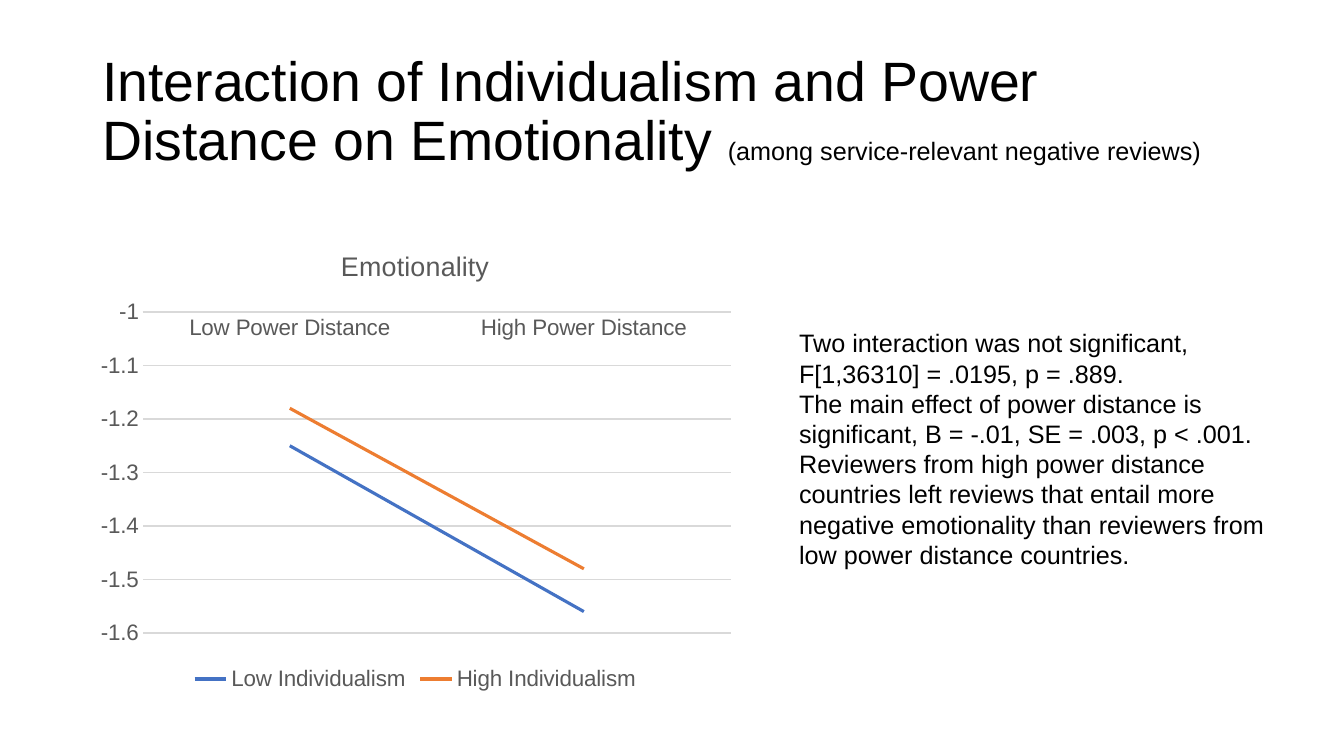
from dataclasses import dataclass

import pptx
import pptx.chart.data
import pptx.dml.color
import pptx.enum.chart
import pptx.enum.text
import pptx.oxml
import pptx.oxml.ns
import pptx.util
from pptx.util import Cm


@dataclass(frozen=True)
class Theme:
    font: str = "Arial"
    black: str = "000000"
    gray: str = "595959"
    grid: str = "D9D9D9"
    series: tuple = ("4472C4", "ED7D31")
    title_size: float = 39.6
    body_size: float = 18
    chart_size: float = 16
    chart_title_size: float = 19.2


THEME = Theme()
CATEGORIES = ("Low Power Distance", "High Power Distance")
EMOTIONALITY = {
    "Low Individualism": (-1.25, -1.56),
    "High Individualism": (-1.18, -1.48),
}
FINDINGS = (
    "Two interaction was not significant, F[1,36310] = .0195, p = .889.",
    "The main effect of power distance is significant, B = -.01, SE = .003, p < .001.",
    "Reviewers from high power distance countries left reviews that entail more "
    "negative emotionality than reviewers from low power distance countries.",
)


def style_font(font, size, color):
    font.name = THEME.font
    font.size = pptx.util.Pt(size)
    font.bold = False
    font.color.rgb = pptx.dml.color.RGBColor.from_string(color)


def style_line(line, color, width):
    line.color.rgb = pptx.dml.color.RGBColor.from_string(color)
    line.width = pptx.util.Pt(width)


def add_text_frame(page, left, top, width, height):
    frame = page.shapes.add_textbox(left, top, width, height).text_frame
    frame.word_wrap = True
    return frame


def add_title(page, heading, qualifier):
    frame = add_text_frame(page, Cm(2.33), Cm(1.01), Cm(29.21), Cm(3.68))
    frame.vertical_anchor = pptx.enum.text.MSO_ANCHOR.MIDDLE
    para = frame.paragraphs[0]
    para.line_spacing = 0.9
    for text, size in ((heading, THEME.title_size), (qualifier, THEME.body_size)):
        span = para.add_run()
        span.text = text
        style_font(span.font, size, THEME.black)


def add_findings(page, findings):
    frame = add_text_frame(page, Cm(19.89), Cm(8.13), Cm(12.95), Cm(6.4))
    frame.text = "\n".join(findings)
    for para in frame.paragraphs:
        for span in para.runs:
            style_font(span.font, THEME.body_size, THEME.black)


def make_layout(**fractions):
    """Return a manual chart layout; the fractions are of the chart's size."""
    layout = pptx.oxml.parse_xml(
        f'<c:layout {pptx.oxml.ns.nsdecls("c")}><c:manualLayout/></c:layout>'
    )
    for name, value in fractions.items():
        layout[0].append(pptx.oxml.parse_xml(
            f'<c:{name} {pptx.oxml.ns.nsdecls("c")} val="{value}"/>'
        ))
    return layout


def place_plot(chart):
    plot_area = chart.element.find(".//" + pptx.oxml.ns.qn("c:plotArea"))
    for old in plot_area.findall(pptx.oxml.ns.qn("c:layout")):
        plot_area.remove(old)
    plot_area.insert(0, make_layout(
        layoutTarget="inner", xMode="edge", yMode="edge",
        x=0.084, y=0.178, w=0.898, h=0.688,
    ))


def style_axes(chart):
    for axis in (chart.category_axis, chart.value_axis):
        axis.major_tick_mark = pptx.enum.chart.XL_TICK_MARK.NONE
        axis.minor_tick_mark = pptx.enum.chart.XL_TICK_MARK.NONE
        style_font(axis.tick_labels.font, THEME.chart_size, THEME.gray)
    style_line(chart.category_axis.format.line, THEME.grid, 0.75)
    values = chart.value_axis
    values.minimum_scale, values.maximum_scale, values.major_unit = -1.6, -1, 0.1
    values.format.line.fill.background()
    style_line(values.major_gridlines.format.line, THEME.grid, 0.75)


def add_line_chart(page, title, categories, series_values):
    data = pptx.chart.data.CategoryChartData()
    data.categories = categories
    for name, values in series_values.items():
        data.add_series(name, values)
    chart = page.shapes.add_chart(
        pptx.enum.chart.XL_CHART_TYPE.LINE,
        Cm(2.21), Cm(5.77), Cm(16.51), Cm(11.76), data,
    ).chart
    style_font(chart.font, THEME.chart_size, THEME.black)
    chart.plots[0].vary_by_categories = False

    chart.has_title = True
    heading = chart.chart_title
    heading.text_frame.text = title
    style_font(heading.text_frame.paragraphs[0].runs[0].font,
               THEME.chart_title_size, THEME.gray)
    heading.include_in_layout = False

    chart.has_legend = True
    chart.legend.position = pptx.enum.chart.XL_LEGEND_POSITION.BOTTOM
    chart.legend.include_in_layout = False
    style_font(chart.legend.font, THEME.chart_size, THEME.gray)

    style_axes(chart)
    place_plot(chart)
    for series, color in zip(chart.plots[0].series, THEME.series):
        series.smooth = False
        series.marker.style = pptx.enum.chart.XL_MARKER_STYLE.NONE
        style_line(series.format.line, color, 2.25)


def main():
    deck = pptx.Presentation()
    deck.slide_width, deck.slide_height = Cm(33.87), Cm(19.05)
    page = deck.slides.add_slide(deck.slide_layouts[6])
    add_title(page, "Interaction of Individualism and Power Distance on Emotionality ",
              "(among service-relevant negative reviews)")
    add_line_chart(page, "Emotionality", CATEGORIES, EMOTIONALITY)
    add_findings(page, FINDINGS)
    deck.save("out.pptx")


if __name__ == "__main__":
    main()
